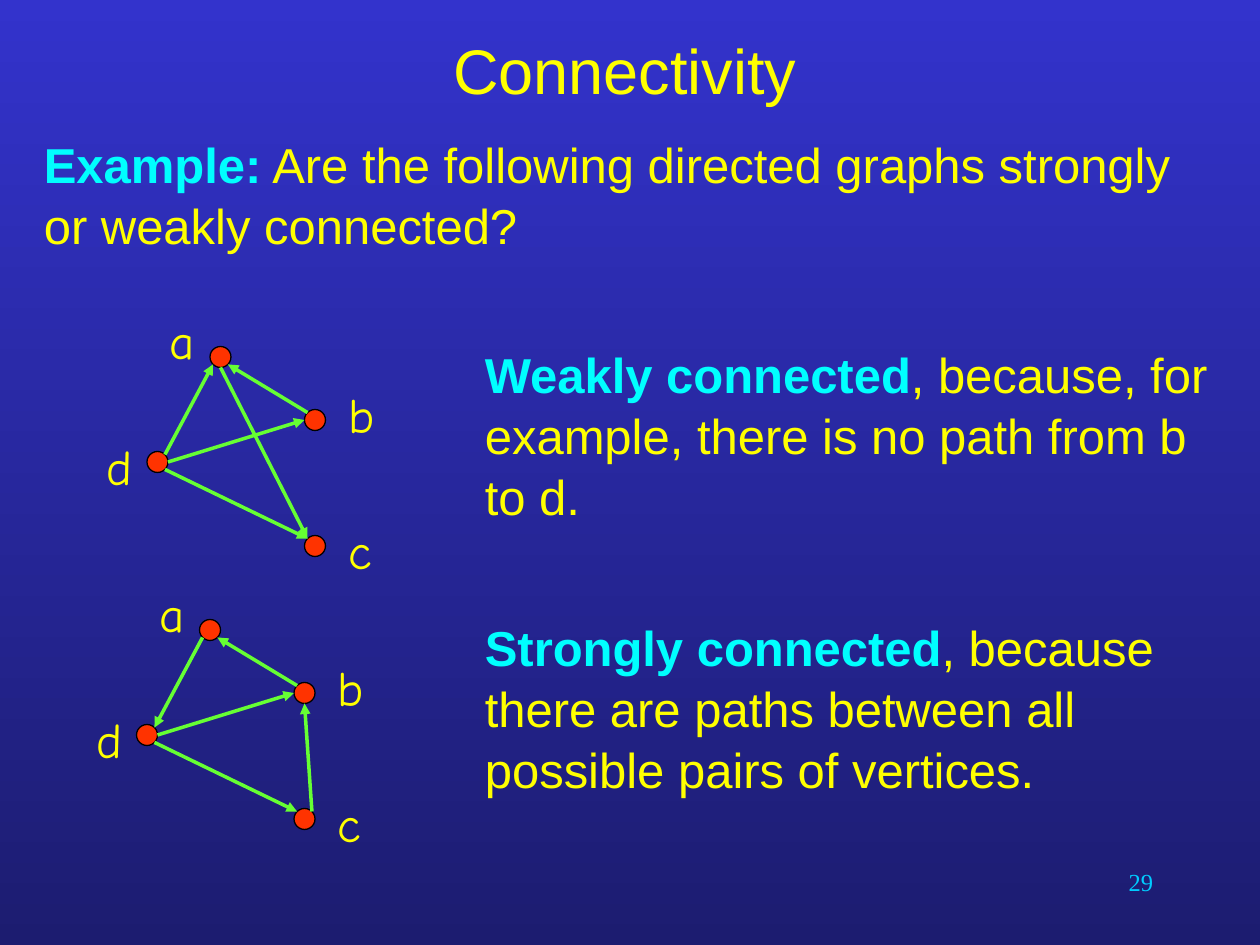
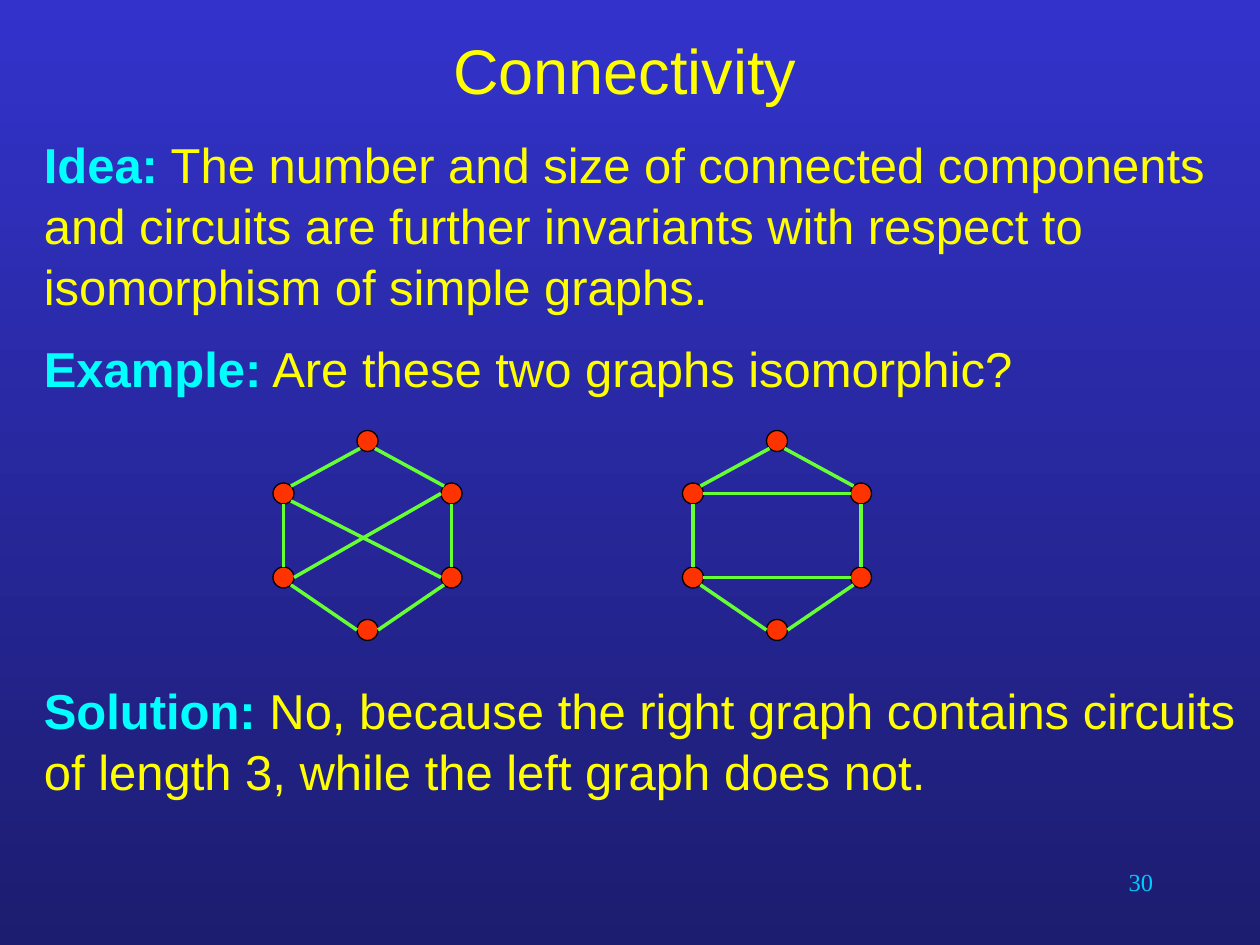
from lxml.etree import SubElement
from pptx import Presentation
from pptx.dml.color import RGBColor
from pptx.enum.shapes import MSO_CONNECTOR, MSO_SHAPE
from pptx.enum.text import MSO_ANCHOR, PP_ALIGN
from pptx.oxml.ns import qn
from pptx.util import Inches, Pt

COLORS = {
    "sky": "3333CC", "deep": "1C1C70", "text": "FFFF00", "key": "00FFFF",
    "number": "00CCFF", "vertex": "FF3300", "outline": "000000", "edge": "66FF33",
}
COLOR = {name: RGBColor.from_string(value) for name, value in COLORS.items()}

# Grid of 120 columns by 90 rows; a vertex has a radius of one unit
UNIT = Inches(10) / 120
DIAGONAL = 0.71
SITES = {
    "N": (0, -1), "S": (0, 1), "W": (-1, 0), "E": (1, 0),
    "NW": (-DIAGONAL, -DIAGONAL), "NE": (DIAGONAL, -DIAGONAL),
    "SW": (-DIAGONAL, DIAGONAL), "SE": (DIAGONAL, DIAGONAL),
}


def write(shapes, area, *paragraphs, size=28, font="Arial", color="text",
          align=PP_ALIGN.LEFT, anchor=MSO_ANCHOR.TOP, spacing=1.04, after=0):
    """Each paragraph is a (bold key phrase, plain text) pair."""
    box = shapes.add_textbox(*[round(value * UNIT) for value in area])
    frame = box.text_frame
    frame.word_wrap = True
    frame.vertical_anchor = anchor
    for index, (key, plain) in enumerate(paragraphs):
        para = frame.add_paragraph() if index else frame.paragraphs[0]
        para.alignment = align
        para.line_spacing = spacing
        para.space_after = Pt(after)
        for text, is_key in ((key, True), (plain, False)):
            if text:
                span = para.add_run()
                span.text = text
                span.font.size = Pt(size)
                span.font.name = font
                span.font.bold = is_key
                span.font.color.rgb = COLOR["key" if is_key else color]


def draw_graph(shapes, vertices, edges, shift=(0, 0), arrows=False):
    """Edges read "start site end site", as in "b NW a SE"."""
    centers = {name: (x + shift[0], y + shift[1])
               for name, (x, y) in vertices.items()}
    for x, y in centers.values():
        dot = shapes.add_shape(MSO_SHAPE.FLOWCHART_CONNECTOR, round((x - 1) * UNIT),
                               round((y - 1) * UNIT), round(2 * UNIT), round(2 * UNIT))
        dot.shadow.inherit = False
        dot.fill.solid()
        dot.fill.fore_color.rgb = COLOR["vertex"]
        dot.line.color.rgb = COLOR["outline"]
        dot.line.width = Pt(0.75)
    for edge in edges:
        start, start_site, end, end_site = edge.split()
        ends = [round((center + offset) * UNIT)
                for name, site in ((start, start_site), (end, end_site))
                for center, offset in zip(centers[name], SITES[site])]
        line = shapes.add_connector(MSO_CONNECTOR.STRAIGHT, *ends)
        line.line.color.rgb = COLOR["edge"]
        line.line.width = Pt(2)
        if arrows:
            SubElement(line.line._get_or_add_ln(), qn("a:tailEnd"), type="triangle")
        SubElement(line._element.spPr, qn("a:effectLst"))


# Deck and shared background
deck = Presentation()
deck.slide_width, deck.slide_height = Inches(10), Inches(7.5)
background = deck.slide_master.background.fill
background.gradient()
background.gradient_angle = 270
for stop, name, position in zip(background.gradient_stops, ("sky", "deep"), (0, 1)):
    stop.color.rgb = COLOR[name]
    stop.position = position

# Shared title and slide number
pages = []
for number in (29, 30):
    page = deck.slides.add_slide(deck.slide_layouts[6])
    write(page.shapes, (86, 82, 25, 6), ("", str(number)), size=14,
          font="Times New Roman", color="number", align=PP_ALIGN.RIGHT, spacing=1)
    write(page.shapes, (3, 0, 113, 13), ("", "Connectivity"), size=36,
          align=PP_ALIGN.CENTER, anchor=MSO_ANCHOR.MIDDLE)
    pages.append(page)
directed, isomorphism = pages

# Slide 29: two directed graphs, each with its answer
write(directed.shapes, (3, 12, 115, 13),
      ("Example:", " Are the following directed graphs strongly or weakly connected?"))
corners = {"a": (21, 34), "b": (30, 40), "c": (30, 52), "d": (15, 44)}
label_offsets = {"a": (-6, -5), "b": (2, -4), "c": (2, -3), "d": (-6, -3)}
shared_arrows = ["b NW a SE", "d E b W", "d SE c NW"]
answers = [
    ((0, 0), ["d NE a SW", "a S c NW"], 32, "Weakly connected",
     ", because, for example, there is no path from b to d."),
    ((-1, 26), ["a SW d NE", "c NE b S"], 58, "Strongly connected",
     ", because there are paths between all possible pairs of vertices."),
]
for shift, own_arrows, top, verdict, reason in answers:
    graph = directed.shapes.add_group_shape()
    draw_graph(graph.shapes, corners, shared_arrows + own_arrows, shift, arrows=True)
    for name, (x, y) in corners.items():
        left, upper = label_offsets[name]
        write(graph.shapes, (x + left + shift[0], y + upper + shift[1], 8, 7),
              ("", name), font="Comic Neue", spacing=1)
    write(directed.shapes, (45, top, 72, 23), (verdict, reason))

# Slide 30: two hexagons that differ in their chords
write(isomorphism.shapes, (3, 12, 115, 27),
      ("Idea:", " The number and size of connected components and circuits are "
                "further invariants with respect to isomorphism of simple graphs."),
      ("Example:", " Are these two graphs isomorphic?"), after=11.5)
hexagon = {"top": (35, 42), "ul": (27, 47), "ur": (43, 47),
           "ll": (27, 55), "lr": (43, 55), "bottom": (35, 60)}
rim = ["ul NE top SW", "ur NW top SE", "ll N ul S", "lr N ur S",
       "ll SE bottom W", "bottom E lr SW"]
crossed = ["ul SE lr W", "ll E ur W"]
parallel = ["ul E ur W", "ll E lr W"]
for column, chords in ((0, crossed), (39, parallel)):
    graph = isomorphism.shapes.add_group_shape()
    draw_graph(graph.shapes, hexagon, rim + chords, (column, 0))
write(isomorphism.shapes, (3, 64, 117, 13),
      ("Solution:", " No, because the right graph contains circuits of length 3, "
                    "while the left graph does not."))

deck.save("out.pptx")
